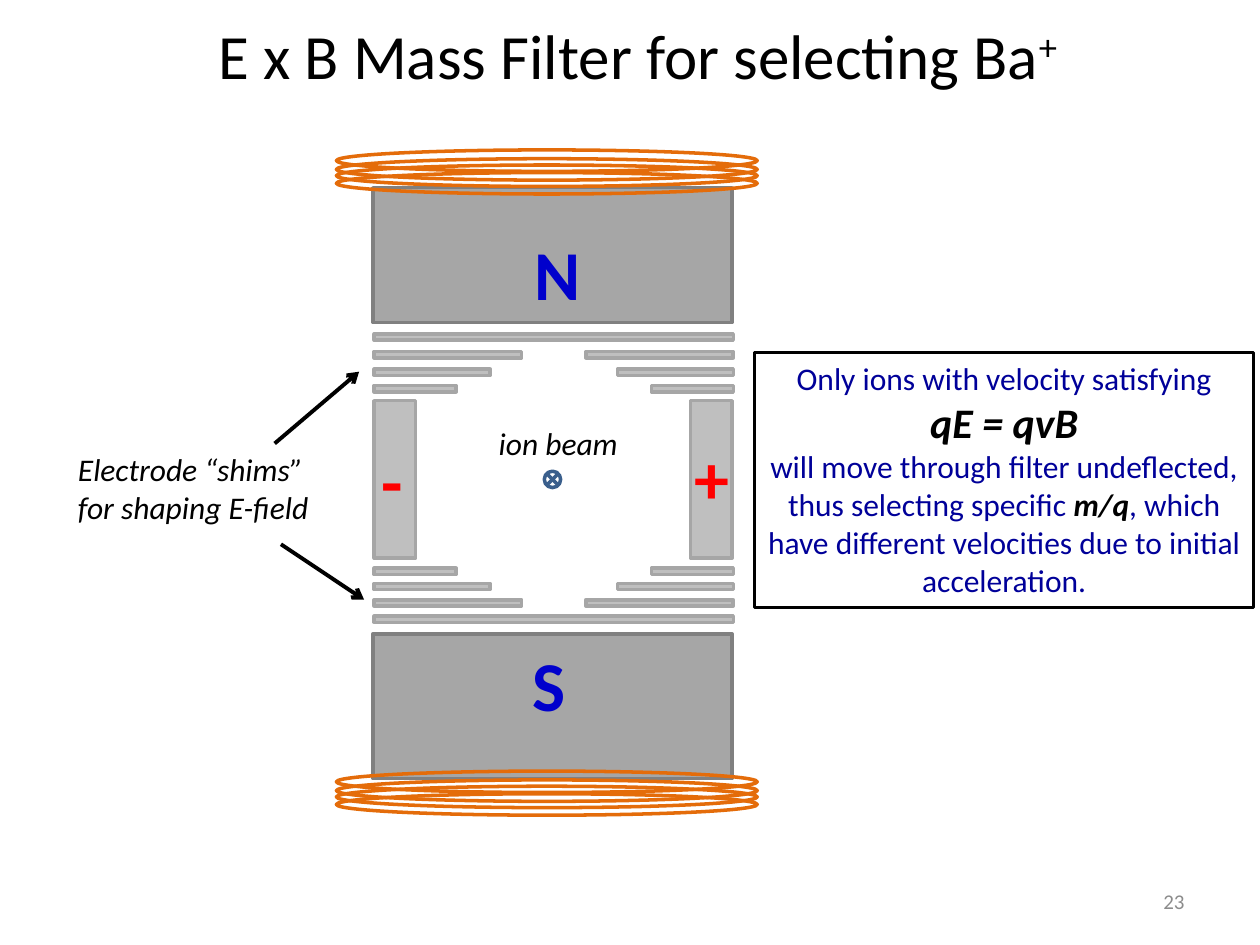
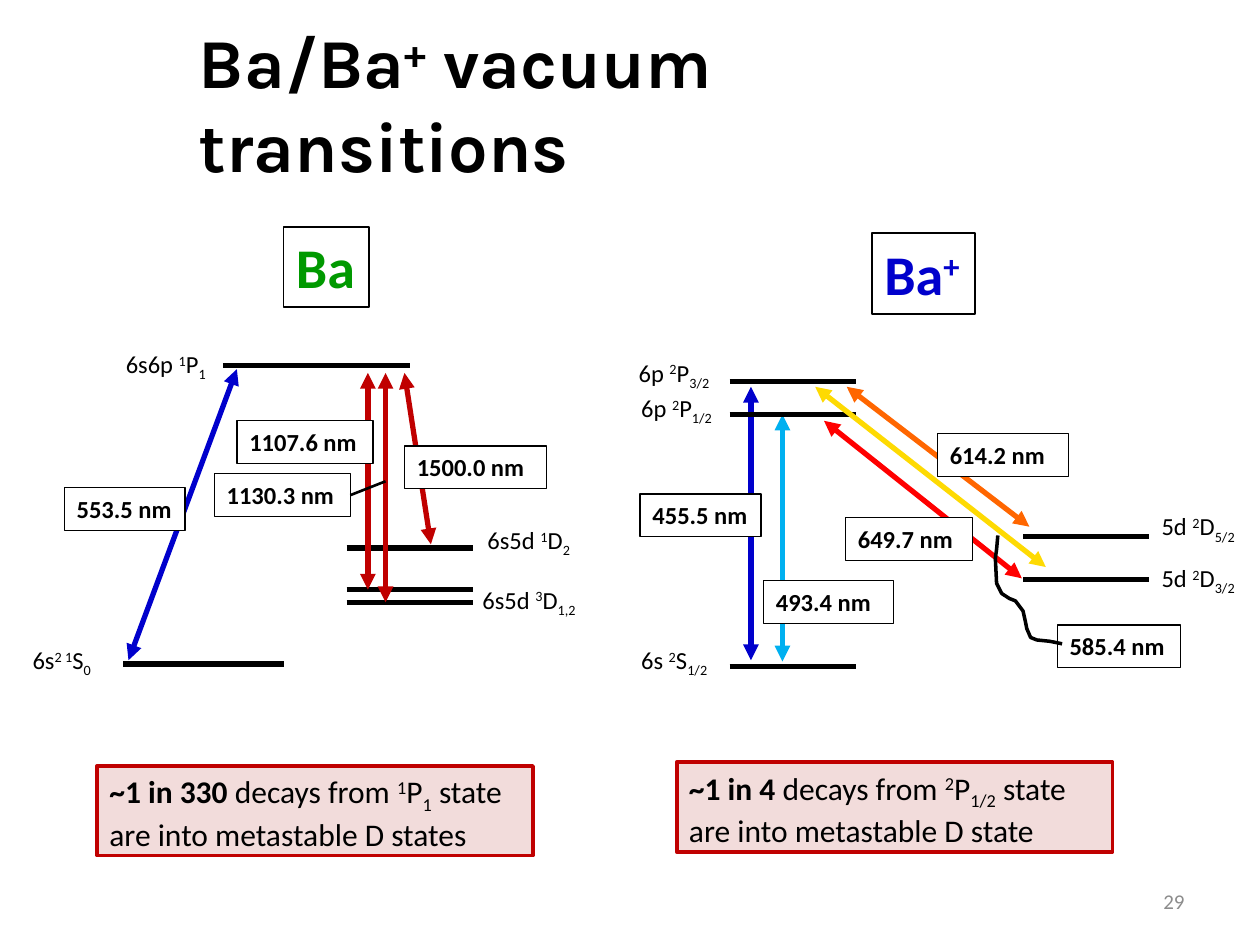
from dataclasses import dataclass
from typing import NamedTuple, Optional

from lxml import etree
from pptx import Presentation
from pptx.dml.color import RGBColor
from pptx.enum.shapes import MSO_CONNECTOR, MSO_SHAPE
from pptx.enum.text import MSO_ANCHOR, MSO_AUTO_SIZE, PP_ALIGN
from pptx.oxml.ns import qn
from pptx.util import Inches, Pt

BLACK, WHITE, GREY = "000000", "FFFFFF", "8C8C8C"
BLUE, NAVY, RED, GREEN = "0000CC", "000099", "FF0000", "009900"
CYAN, ORANGE, YELLOW, DARK_RED = "00B0F0", "FF6600", "FEDA02", "C00000"
ELECTRODE, ELECTRODE_EDGE, MAGNET_EDGE = "BFBFBF", "A6A6A6", "808080"
COIL, BEAM, PINK = "E46C0A", "3A5F8C", "F2DCDB"
SUPER, SUB = 30, -25
LEFT, CENTER, RIGHT = PP_ALIGN.LEFT, PP_ALIGN.CENTER, PP_ALIGN.RIGHT


class Box(NamedTuple):
    left: float
    top: float
    width: float
    height: float


class Run(NamedTuple):
    text: str
    size: float
    color: str = BLACK
    bold: bool = False
    italic: bool = False
    shift: int = 0
    font: str = "Calibri"


@dataclass
class Level:
    left: float
    right: float
    y: float


@dataclass
class Transition:
    start: tuple[float, float]
    end: tuple[float, float]
    color: str


@dataclass
class Term:
    left: float
    top: float
    width: float
    shell: str
    multiplicity: str
    orbital: str
    momentum: str


@dataclass
class Wavelength:
    left: float
    top: float
    width: float
    text: str


def rgb(color: str) -> RGBColor:
    return RGBColor.from_string(color)


def write(shape, paragraphs: list[list[Run]], align=LEFT, wrap: bool = True,
          anchor=MSO_ANCHOR.TOP, grow: bool = True) -> None:
    frame = shape.text_frame
    frame.word_wrap = wrap
    frame.vertical_anchor = anchor
    frame.auto_size = MSO_AUTO_SIZE.SHAPE_TO_FIT_TEXT if grow else MSO_AUTO_SIZE.NONE
    for index, runs in enumerate(paragraphs):
        paragraph = frame.add_paragraph() if index else frame.paragraphs[0]
        paragraph.alignment = align
        for part in runs:
            run = paragraph.add_run()
            run.text = part.text
            run.font.name = part.font
            run.font.size = Pt(part.size)
            run.font.bold = part.bold
            run.font.italic = part.italic
            run.font.color.rgb = rgb(part.color)
            if part.shift:
                run._r.get_or_add_rPr().set("baseline", str(part.shift * 1000))


def add_text(slide, box: Box, runs: list[Run], **layout):
    shape = slide.shapes.add_textbox(*map(Inches, box))
    write(shape, [runs], **layout)
    return shape


def style(shape, fill: Optional[str], line: str, weight: float) -> None:
    shape.shadow.inherit = False
    if fill:
        shape.fill.solid()
        shape.fill.fore_color.rgb = rgb(fill)
    else:
        shape.fill.background()
    shape.line.color.rgb = rgb(line)
    shape.line.width = Pt(weight)


def add_shape(slide, box: Box, fill: Optional[str], line: str, weight: float = 2,
              kind=MSO_SHAPE.RECTANGLE):
    shape = slide.shapes.add_shape(kind, *map(Inches, box))
    style(shape, fill, line, weight)
    return shape


def add_line(slide, start: tuple[float, float], end: tuple[float, float],
             color: str = BLACK, weight: float = 3, head: str = "", tail: str = ""):
    line = slide.shapes.add_connector(MSO_CONNECTOR.STRAIGHT, *map(Inches, (*start, *end)))
    line.line.color.rgb = rgb(color)
    line.line.width = Pt(weight)
    outline = line.line._get_or_add_ln()
    for tag, arrow in (("a:headEnd", head), ("a:tailEnd", tail)):
        if arrow:
            etree.SubElement(outline, qn(tag)).set("type", arrow)
    etree.SubElement(line._element.spPr, qn("a:effectLst"))
    return line


def add_transition(slide, transition: Transition) -> None:
    add_line(slide, transition.start, transition.end, transition.color,
             head="triangle", tail="triangle")


def add_level(slide, level: Level) -> None:
    add_line(slide, (level.left, level.y), (level.right, level.y))


def add_term(slide, term: Term) -> None:
    runs = [Run(term.shell, 14), Run(term.multiplicity, 14, shift=SUPER),
            Run(term.orbital, 14), Run(term.momentum, 14, shift=SUB)]
    add_text(slide, Box(term.left, term.top, term.width, 0.34), runs, wrap=False)


def add_wavelength(slide, label: Wavelength):
    shape = add_shape(slide, Box(label.left, label.top, label.width, 0.34), WHITE, BLACK, 0.75)
    write(shape, [[Run(label.text, 14, bold=True)]])
    return shape


def add_species(slide, box: Box, runs: list[Run]) -> None:
    write(add_shape(slide, box, None, BLACK, 1), [runs], wrap=False)


def add_decay_note(slide, left: float, top: float, odds: str, multiplicity: str,
                   momentum: str, ending: str) -> None:
    note = add_shape(slide, Box(left, top, 3.46, 0.71), PINK, DARK_RED, 2.25)
    write(note, [[Run(odds, 18, bold=True), Run(" decays from ", 18),
                  Run(multiplicity, 18, shift=SUPER), Run("P", 18),
                  Run(momentum, 18, shift=SUB), Run(ending, 18)]])


def new_slide(deck, number: str, title_box: Box, title: list[Run], **layout):
    slide = deck.slides.add_slide(deck.slide_layouts[6])
    add_text(slide, Box(7.17, 6.95, 2.33, 0.4), [Run(number, 12, GREY)],
             align=RIGHT, anchor=MSO_ANCHOR.MIDDLE, grow=False)
    add_text(slide, title_box, title, **layout)
    return slide


def build_mass_filter(deck) -> None:
    slide = new_slide(deck, "23", Box(1.47, 0.08, 7.18, 0.71),
                      [Run("E x B Mass Filter for selecting Ba", 36),
                       Run("+", 36, shift=SUPER)], align=CENTER, wrap=False)

    gap_left, gap_right = 2.97, 5.82
    gap_width = gap_right - gap_left
    plates = [Box(left, 3.18, 0.33, 1.25) for left in (gap_left, 5.48)]
    shim_rows = [(3.06, 0.65), (2.93, 0.92), (2.79, 1.17),
                 (4.51, 0.65), (4.63, 0.92), (4.76, 1.17)]
    shims = [Box(left, top, width, 0.05) for top, width in shim_rows
             for left in (gap_left, gap_right - width)]
    full_shims = [Box(gap_left, top, gap_width, 0.05) for top in (2.65, 4.89)]
    for electrode in plates + shims + full_shims:
        add_shape(slide, electrode, ELECTRODE, ELECTRODE_EDGE)

    for top, height in ((1.49, 1.07), (5.03, 1.15)):
        add_shape(slide, Box(2.96, top, gap_width, height), ELECTRODE_EDGE, MAGNET_EDGE)
    for coil_top in (1.19, 6.12):
        for offset in (0, 0.07, 0.12, 0.18):
            add_shape(slide, Box(2.67, coil_top + offset, 3.34, 0.17), None, COIL,
                      kind=MSO_SHAPE.OVAL)

    for sign, color, left, top, width in (
            ("N", BLUE, 4.14, 1.78, 0.57), ("S", BLUE, 4.13, 5.04, 0.47),
            ("+", RED, 5.41, 3.4, 0.48), ("-", RED, 2.93, 3.42, 0.37)):
        add_text(slide, Box(left, top, width, 0.77), [Run(sign, 40, color, bold=True)],
                 wrap=False)

    add_shape(slide, Box(4.32, 3.74, 0.13, 0.13), None, BEAM,
              kind=MSO_SHAPE.FLOWCHART_SUMMING_JUNCTION)
    add_text(slide, Box(0.52, 3.52, 2.16, 0.71),
             [Run("Electrode “shims” for shaping E-field", 18, italic=True)])
    for start, end in (((2.18, 3.52), (2.85, 2.95)), ((2.23, 4.32), (2.89, 4.76))):
        add_line(slide, start, end, weight=2.25, tail="arrow")

    condition = add_shape(slide, Box(5.99, 2.8, 3.96, 2.02), None, BLACK, 1.5)
    write(condition, [
        [Run("Only ions with velocity satisfying", 18, NAVY)],
        [Run("qE = qvB", 24, bold=True, italic=True)],
        [Run("will move through filter undeflected, thus selecting specific ", 18, NAVY),
         Run("m/q", 18, bold=True, italic=True),
         Run(", which have different velocities due to initial acceleration.", 18, NAVY)],
    ], align=CENTER)
    add_text(slide, Box(3.86, 3.32, 2.16, 0.4), [Run("ion beam", 18, italic=True)])


def build_atom(slide) -> None:
    add_species(slide, Box(2.25, 1.8, 0.68, 0.64), [Run("Ba", 32, GREEN, bold=True)])
    for level in (Level(1.77, 3.25, 2.9), Level(0.98, 2.25, 5.27),
                  *(Level(2.75, 3.75, y) for y in (4.35, 4.68, 4.78))):
        add_level(slide, level)
    for transition in (Transition((1.02, 5.24), (1.88, 2.93), BLUE),
                       Transition((2.92, 4.68), (2.92, 2.96), DARK_RED),
                       Transition((3.06, 4.78), (3.06, 2.96), DARK_RED),
                       Transition((3.42, 4.32), (3.21, 2.96), DARK_RED)):
        add_transition(slide, transition)
    for label in (Wavelength(0.51, 3.87, 0.96, "553.5 nm"),
                  Wavelength(3.21, 3.54, 1.13, "1500.0 nm"),
                  Wavelength(1.88, 3.34, 1.08, "1107.6 nm")):
        add_wavelength(slide, label)
    middle_label = add_wavelength(slide, Wavelength(1.7, 3.76, 1.08, "1130.3 nm"))
    leader = add_line(slide, (2.78, 3.93), (3.06, 3.82), weight=1.5)
    leader.begin_connect(middle_label, 3)
    for term in (Term(0.16, 5.07, 0.71, "6s", "2 1", "S", "0"),
                 Term(0.9, 2.72, 0.86, "6s6p ", "1", "P", "1"),
                 Term(3.77, 4.12, 0.88, "6s5d ", "1", "D", "2"),
                 Term(3.73, 4.59, 0.98, "6s5d ", "3", "D", "1,2")):
        add_term(slide, term)
    add_decay_note(slide, 0.77, 6.08, "~1 in 330", "1", "1",
                   " state are into metastable D states")


def build_ion(slide) -> None:
    add_species(slide, Box(6.92, 1.85, 0.82, 0.64),
                [Run("Ba", 32, BLUE, bold=True), Run("+", 32, BLUE, bold=True, shift=SUPER)])
    for term in (Term(4.97, 2.79, 0.8, "6p ", "2", "P", "3/2"),
                 Term(4.99, 3.07, 0.8, "6p ", "2", "P", "1/2"),
                 Term(9.12, 4.01, 0.82, "5d ", "2", "D", "5/2"),
                 Term(9.12, 4.42, 0.82, "5d ", "2", "D", "3/2"),
                 Term(4.99, 5.07, 0.76, "6s ", "2", "S", "1/2")):
        add_term(slide, term)
    for transition in (Transition((5.96, 5.24), (5.96, 3.07), BLUE),
                       Transition((6.21, 5.25), (6.21, 3.29), CYAN),
                       Transition((8.11, 4.59), (6.54, 3.34), RED),
                       Transition((8.17, 4.18), (6.72, 3.07), ORANGE)):
        add_transition(slide, transition)
    for label in (Wavelength(5.08, 3.92, 0.96, "455.5 nm"),
                  Wavelength(6.06, 4.61, 1.03, "493.4 nm"),
                  Wavelength(6.71, 4.11, 1.01, "649.7 nm"),
                  Wavelength(8.39, 4.96, 0.98, "585.4 nm"),
                  Wavelength(7.44, 3.44, 1.04, "614.2 nm")):
        add_wavelength(slide, label)
    for left, heights in ((5.79, (3.03, 3.29, 5.29)), (8.12, (4.26, 4.6))):
        for y in heights:
            add_level(slide, Level(left, left + 1, y))
    add_transition(slide, Transition((8.3, 4.5), (6.47, 3.07), YELLOW))

    squiggle = [(7.92, 4.25), (7.91, 4.36), (7.9, 4.43), (7.91, 4.63), (7.95, 4.71),
                (8.01, 4.75), (8.06, 4.77), (8.12, 4.85), (8.14, 4.94), (8.15, 4.99),
                (8.18, 5.06), (8.23, 5.08), (8.33, 5.09), (8.38, 5.1), (8.43, 5.11)]
    start, *bends = [(Inches(x), Inches(y)) for x, y in squiggle]
    outline = slide.shapes.build_freeform(*start)
    outline.add_line_segments(bends, close=False)
    style(outline.convert_to_shape(), None, BLACK, 2)
    add_decay_note(slide, 5.37, 6.05, "~1 in 4", "2", "1/2",
                   " state are into metastable D state")


def main() -> None:
    deck = Presentation()
    deck.slide_width, deck.slide_height = Inches(10), Inches(7.5)
    build_mass_filter(deck)
    title = [Run(text, 40, bold=True, shift=shift, font="Karla")
             for text, shift in (("Ba/Ba", 0), ("+", SUPER), (" vacuum transitions", 0))]
    transitions = new_slide(deck, "29", Box(1.48, 0.1, 7.03, 0.77), title)
    build_atom(transitions)
    build_ion(transitions)
    deck.save("out.pptx")


if __name__ == "__main__":
    main()
